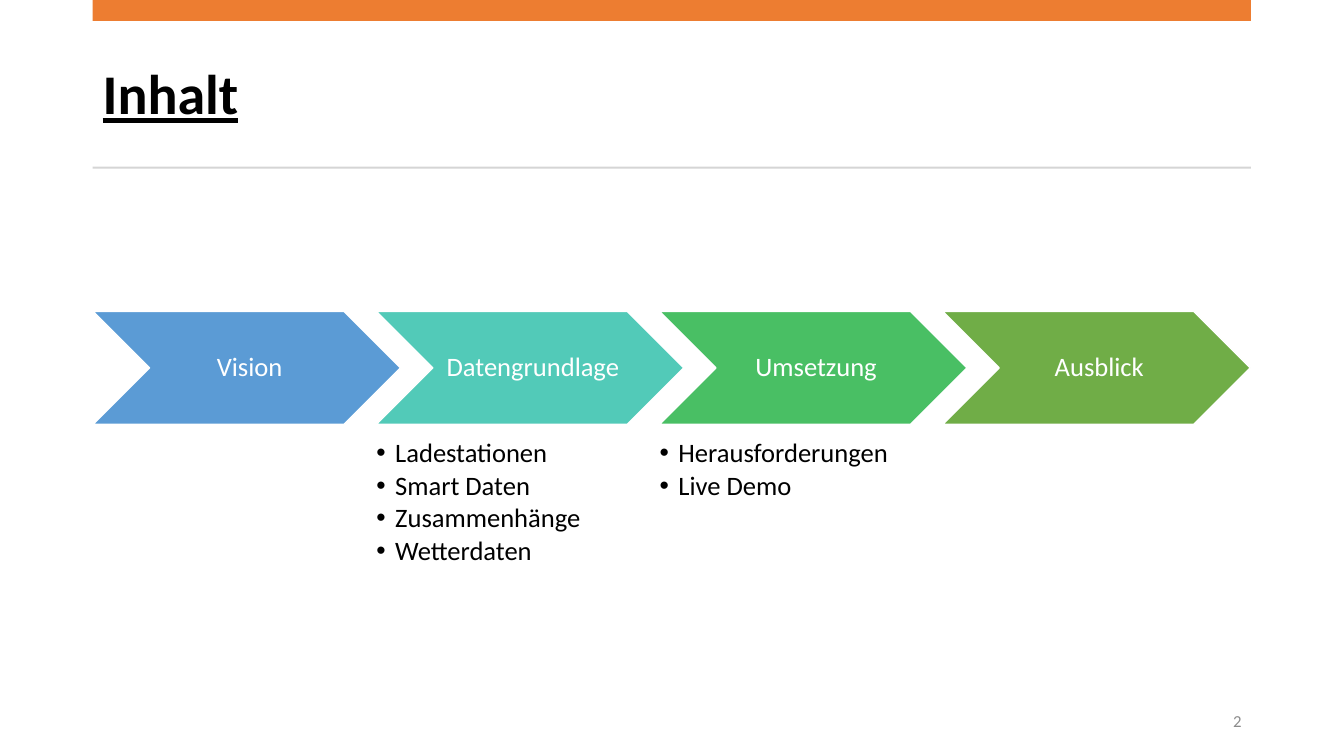
from lxml import etree
from pptx import Presentation
from pptx.dml.color import RGBColor
from pptx.enum import shapes, text
from pptx.oxml.ns import qn
from pptx.util import Pt

FONT = "Calibri"
COLORS = {
    "accent": "ED7D31", "rule": "D5D5D5", "white": "FFFFFF",
    "ink": "000000", "number": "8C8C8C",
    "vision": "5B9BD5", "data": "52CAB8",
    "build": "49BF64", "outlook": "70AD47",
}
CHAPTERS = [
    ("Vision", "vision", []),
    ("Datengrundlage", "data",
     ["Ladestationen", "Smart Daten", "Zusammenhänge", "Wetterdaten"]),
    ("Umsetzung", "build", ["Herausforderungen", "Live Demo"]),
    ("Ausblick", "outlook", []),
]
LEFT, WIDTH = 66.24, 827.3
CHAPTER_PITCH = 202.3


def color(name):
    return RGBColor.from_string(COLORS[name])


def style(paragraph, size, ink, align=text.PP_ALIGN.LEFT):
    paragraph.alignment = align
    paragraph.font.name = FONT
    paragraph.font.size = Pt(size)
    paragraph.font.color.rgb = color(ink)


def set_frame(frame, margins, anchor):
    frame.word_wrap = True
    frame.vertical_anchor = anchor
    (frame.margin_left, frame.margin_top,
     frame.margin_right, frame.margin_bottom) = map(Pt, margins)


def add_block(slide, preset, box, fill):
    block = slide.shapes.add_shape(preset, *map(Pt, box))
    block.shadow.inherit = False
    block.fill.solid()
    block.fill.fore_color.rgb = color(fill)
    block.line.fill.background()
    return block


def add_line_of_text(slide, box, words, size, ink, align=text.PP_ALIGN.LEFT):
    frame = slide.shapes.add_textbox(*map(Pt, box)).text_frame
    set_frame(frame, (7.2, 3.6, 7.2, 3.6), text.MSO_ANCHOR.MIDDLE)
    line = frame.paragraphs[0]
    line.text = words
    style(line, size, ink, align)
    return line


def add_chevron(slide, left, label, fill):
    chevron = add_block(slide, shapes.MSO_SHAPE.CHEVRON,
                        (left, 222.5, 219.6, 80.6), fill)
    chevron.line.color.rgb = color("white")
    chevron.line.width = Pt(1)
    set_frame(chevron.text_frame, (6, 2, 2, 2), text.MSO_ANCHOR.MIDDLE)
    caption = chevron.text_frame.paragraphs[0]
    caption.text = label
    caption.line_spacing = 0.9
    style(caption, 19, "white", text.PP_ALIGN.CENTER)


def add_topics(slide, left, topics):
    frame = slide.shapes.add_textbox(
        *map(Pt, (left, 313.9, 175.7, 94.3))).text_frame
    set_frame(frame, (0, 0, 0, 0), text.MSO_ANCHOR.TOP)
    for index, topic in enumerate(topics):
        item = frame.add_paragraph() if index else frame.paragraphs[0]
        item.text = topic
        item.line_spacing = 0.9
        item.space_after = Pt(2.85)
        # Hanging bullet
        props = item._p.get_or_add_pPr()
        props.set("marL", str(Pt(13.5)))
        props.set("indent", str(-Pt(13.5)))
        etree.SubElement(props, qn("a:buFont")).set("typeface", "Arial")
        etree.SubElement(props, qn("a:buChar")).set("char", "•")
        style(item, 19, "ink")


def main():
    deck = Presentation()
    deck.slide_width, deck.slide_height = Pt(960), Pt(540)
    slide = deck.slides.add_slide(deck.slide_layouts[6])

    # Header
    title = add_line_of_text(slide, (LEFT, 26.6, WIDTH, 85), "Inhalt", 40, "ink")
    title.line_spacing = 0.9
    title.font.bold = True
    title.font.underline = True
    for top, height, fill in ((0, 15, "accent"), (119, 1.5, "rule")):
        add_block(slide, shapes.MSO_SHAPE.RECTANGLE,
                  (LEFT, top, WIDTH, height), fill)

    # Chapters with their topics
    for index, (label, fill, topics) in enumerate(CHAPTERS):
        left = LEFT + 0.3 + index * CHAPTER_PITCH
        add_chevron(slide, left, label, fill)
        if topics:
            add_topics(slide, left, topics)

    # Slide number
    add_line_of_text(slide, (678, 500.5, 216, 28.75), "2", 12, "number",
                     text.PP_ALIGN.RIGHT)
    deck.save("out.pptx")


if __name__ == "__main__":
    main()
